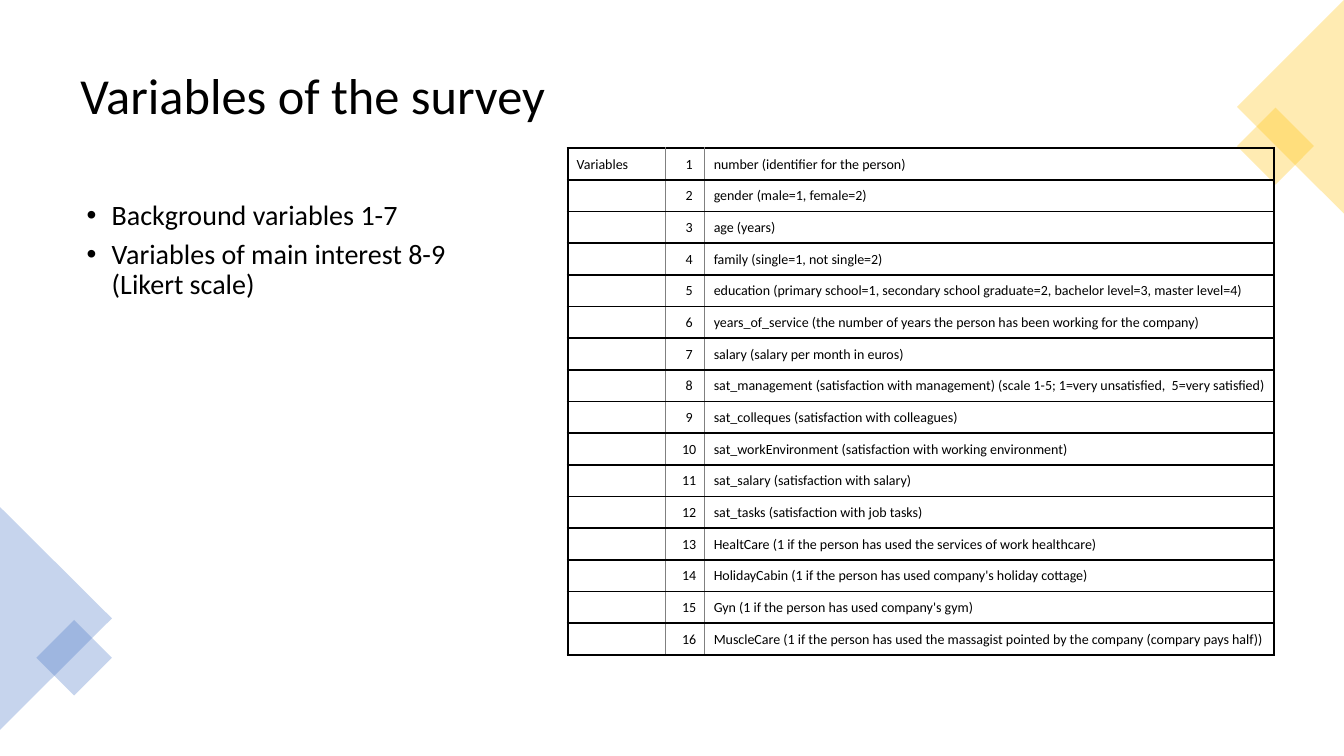
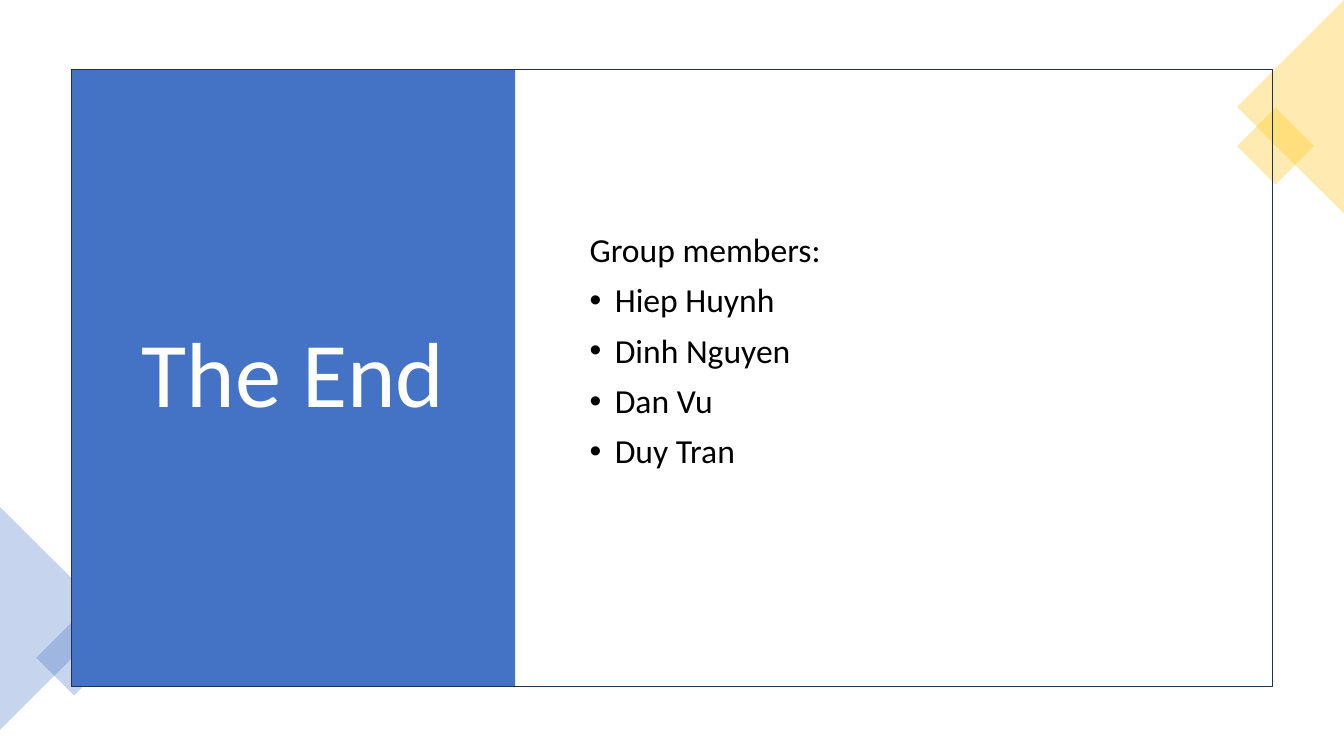
from lxml.etree import SubElement
from pptx import Presentation
from pptx.dml.color import RGBColor
from pptx.enum.shapes import MSO_SHAPE
from pptx.enum.text import MSO_ANCHOR, PP_ALIGN
from pptx.oxml.ns import qn
from pptx.util import Inches, Pt

BLUE = RGBColor(0x44, 0x72, 0xC4)
GOLD = RGBColor(0xFF, 0xC0, 0x00)
NAVY = RGBColor(0x1E, 0x32, 0x56)
GREY = RGBColor(0x80, 0x80, 0x80)
BLACK = RGBColor(0, 0, 0)
WHITE = RGBColor(0xFF, 0xFF, 0xFF)
FONT = "Calibri"

# Content
SURVEY_TITLE = "Variables of the survey"
SURVEY_NOTES = ["Background variables 1-7", "Variables of main interest 8-9 (Likert scale)"]
TABLE_LABEL = "Variables"
VARIABLES = [
    "number (identifier for the person)",
    "gender (male=1, female=2)",
    "age (years)",
    "family (single=1, not single=2)",
    "education (primary school=1, secondary school graduate=2, bachelor level=3, master level=4)",
    "years_of_service (the number of years the person has been working for the company)",
    "salary (salary per month in euros)",
    "sat_management (satisfaction with management) (scale 1-5; 1=very unsatisfied,  5=very satisfied)",
    "sat_colleques (satisfaction with colleagues)",
    "sat_workEnvironment (satisfaction with working environment)",
    "sat_salary (satisfaction with salary)",
    "sat_tasks (satisfaction with job tasks)",
    "HealtCare (1 if the person has used the services of work healthcare)",
    "HolidayCabin (1 if the person has used company's holiday cottage)",
    "Gyn (1 if the person has used company's gym)",
    "MuscleCare (1 if the person has used the massagist pointed by the company (compary pays half))",
]
END_TITLE = "The End"
MEMBERS_HEADING = "Group members:"
MEMBERS = ["Hiep Huynh", "Dinh Nguyen", "Dan Vu", "Duy Tran"]

# Corner decoration: preset, box, rotation, colour
CORNERS = [
    (MSO_SHAPE.ISOSCELES_TRIANGLE, (-0.55, 5.58, 2.21, 1.11), 90, BLUE),
    (MSO_SHAPE.RECTANGLE, (0.47, 6.26, 0.53, 0.53), 45, BLUE),
    (MSO_SHAPE.RECTANGLE, (12.38, 1.18, 0.54, 0.54), 45, GOLD),
    (MSO_SHAPE.ISOSCELES_TRIANGLE, (11.74, 0.53, 2.12, 1.06), 270, GOLD),
]
CORNER_ALPHA = 30

# Table geometry
TABLE_LEFT, TABLE_TOP, TABLE_HEIGHT = 5.63, 1.47, 5.03
COLUMN_WIDTHS = [0.97, 0.39, 5.65]
CELL_MARGINS = {"margin_left": 0.09, "margin_top": 0.07, "margin_right": 0.01, "margin_bottom": 0.07}
RULE, HAIRLINE = (BLACK, 1.5), (GREY, 0.5)

# Panel and frame on the closing slide
FRAME = (0.71, 0.69, 11.91, 6.12)
PANEL = (0.71, 0.69, 4.4, 6.12)


def box(bounds):
    return [Inches(length) for length in bounds]


def add_shape(slide, preset, bounds, fill=None, line=None):
    shape = slide.shapes.add_shape(preset, *box(bounds))
    shape.shadow.inherit = False
    if fill is None:
        shape.fill.background()
    else:
        shape.fill.solid()
        shape.fill.fore_color.rgb = fill
    if line is None:
        shape.line.fill.background()
    else:
        shape.line.color.rgb = line
        shape.line.width = Pt(1)
    return shape


def style(paragraph, size, color=BLACK):
    paragraph.font.name = FONT
    paragraph.font.size = Pt(size)
    paragraph.font.color.rgb = color


def write(frame, lines, size, color=BLACK, anchor=MSO_ANCHOR.TOP, align=PP_ALIGN.LEFT,
          before=0, after=0, indent=0.25):
    """Fill a text frame with (text, bulleted) lines."""
    frame.word_wrap = True
    frame.vertical_anchor = anchor
    for number, (text, bulleted) in enumerate(lines):
        paragraph = frame.add_paragraph() if number else frame.paragraphs[0]
        paragraph.text = text
        paragraph.alignment = align
        paragraph.line_spacing = 0.9
        paragraph.space_before, paragraph.space_after = Pt(before), Pt(after)
        if bulleted:
            properties = paragraph._p.get_or_add_pPr()
            properties.set("marL", str(Inches(indent)))
            properties.set("indent", str(Inches(-0.25)))
            SubElement(properties, qn("a:buFont")).set("typeface", "Arial")
            SubElement(properties, qn("a:buChar")).set("char", "•")
        style(paragraph, size, color)


def add_text(slide, bounds, lines, size, **options):
    write(slide.shapes.add_textbox(*box(bounds)).text_frame, lines, size, **options)


def add_slide(prs):
    """Blank slide with the translucent corner decoration."""
    slide = prs.slides.add_slide(prs.slide_layouts[6])
    for preset, bounds, rotation, color in CORNERS:
        corner = add_shape(slide, preset, bounds, color)
        corner.rotation = rotation
        tint = corner.fill._xPr.find(qn("a:solidFill"))[0]
        SubElement(tint, qn("a:alpha")).set("val", str(CORNER_ALPHA * 1000))
    return slide


def set_borders(cell, left, right, top, bottom):
    properties = cell._tc.get_or_add_tcPr()
    for tag, (color, width) in zip(("lnL", "lnR", "lnT", "lnB"), (left, right, top, bottom)):
        border = SubElement(properties, qn(f"a:{tag}"), w=str(Pt(width)))
        fill = SubElement(border, qn("a:solidFill"))
        SubElement(fill, qn("a:srgbClr"), val=str(color))


def add_variable_table(slide):
    last = len(COLUMN_WIDTHS) - 1
    bounds = (TABLE_LEFT, TABLE_TOP, sum(COLUMN_WIDTHS), TABLE_HEIGHT)
    table = slide.shapes.add_table(len(VARIABLES), last + 1, *box(bounds)).table
    table.first_row = table.horz_banding = False
    for column, width in zip(table.columns, COLUMN_WIDTHS):
        column.width = Inches(width)
    for r, variable in enumerate(VARIABLES):
        table.rows[r].height = Inches(TABLE_HEIGHT / len(VARIABLES))
        for c, text in enumerate(("" if r else TABLE_LABEL, str(r + 1), variable)):
            cell = table.cell(r, c)
            cell.vertical_anchor = MSO_ANCHOR.BOTTOM
            for side, margin in CELL_MARGINS.items():
                setattr(cell, side, Inches(margin))
            paragraph = cell.text_frame.paragraphs[0]
            paragraph.alignment = PP_ALIGN.CENTER if c == 1 else PP_ALIGN.LEFT
            style(paragraph, 10)
            if text:
                paragraph.text = text
            else:  # keeps empty cells from growing the row
                SubElement(paragraph._p, qn("a:endParaRPr"), sz="1000")
            set_borders(cell, HAIRLINE if c else RULE, HAIRLINE if c < last else RULE, RULE, RULE)
            cell.fill.background()


def build_survey(prs):
    slide = add_slide(prs)
    add_text(slide, (0.7, 0.35, 11.93, 1.24), [(SURVEY_TITLE, False)], 36,
             anchor=MSO_ANCHOR.MIDDLE)
    add_text(slide, (0.7, 1.95, 4.38, 4.81), [(note, True) for note in SURVEY_NOTES], 20,
             after=6, indent=0.31)
    add_variable_table(slide)


def build_end(prs):
    slide = add_slide(prs)
    panel = add_shape(slide, MSO_SHAPE.RECTANGLE, PANEL, BLUE)
    write(panel.text_frame, [(END_TITLE, False)], 66, color=WHITE,
          anchor=MSO_ANCHOR.MIDDLE, align=PP_ALIGN.CENTER)
    lines = [(MEMBERS_HEADING, False)] + [(member, True) for member in MEMBERS]
    add_text(slide, (5.75, 1.8, 5.14, 3.39), lines, 24, anchor=MSO_ANCHOR.MIDDLE, before=10)
    add_shape(slide, MSO_SHAPE.RECTANGLE, FRAME, line=NAVY)


def main():
    prs = Presentation()
    prs.slide_width, prs.slide_height = Inches(13.33), Inches(7.5)
    build_survey(prs)
    build_end(prs)
    prs.save("out.pptx")


if __name__ == "__main__":
    main()
